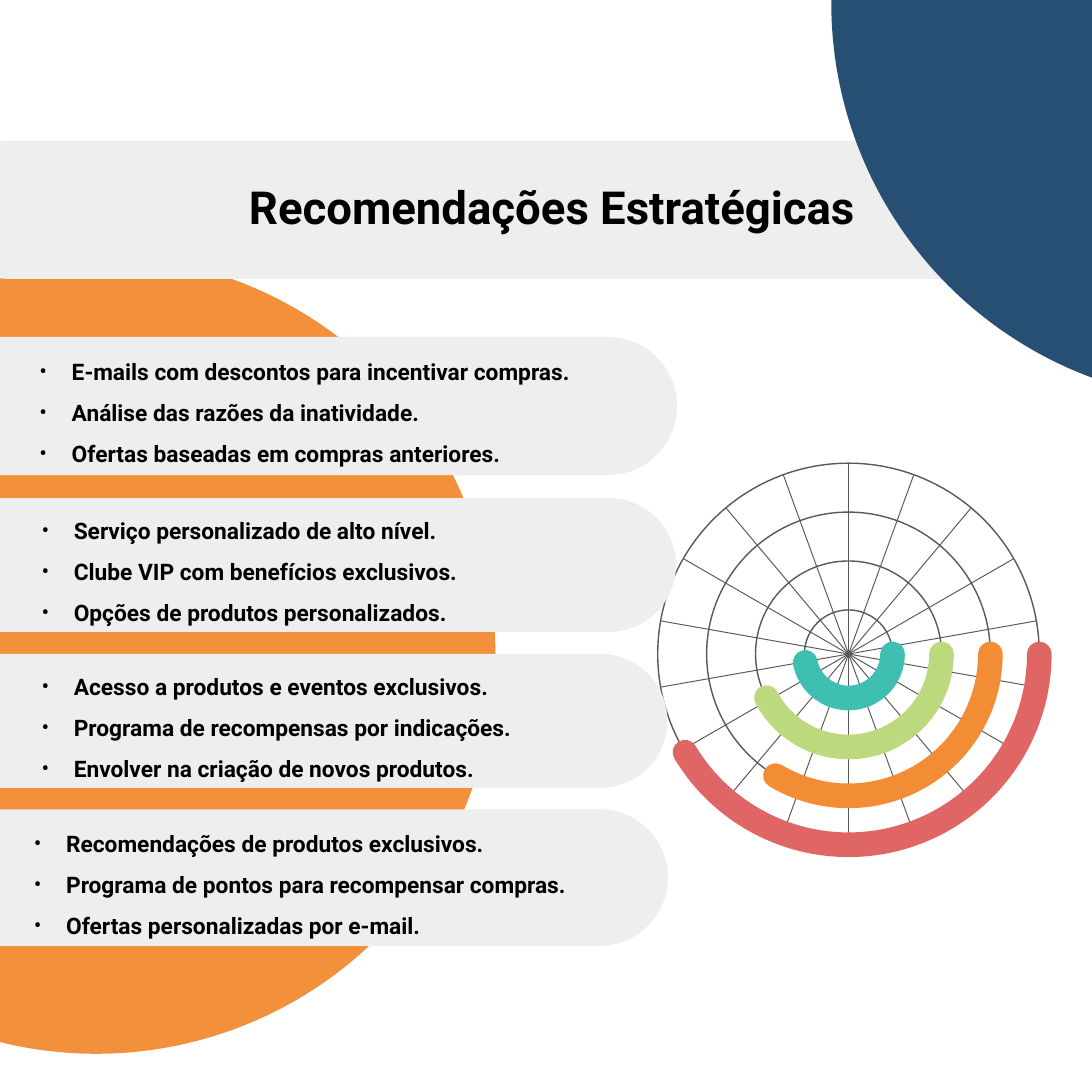
"""Builds a square slide of strategic recommendations with a radial bar drawing."""
from dataclasses import dataclass
from math import cos, radians, sin

from lxml.etree import SubElement
from pptx import Presentation
from pptx.dml.color import RGBColor
from pptx.enum.shapes import MSO_CONNECTOR, MSO_SHAPE
from pptx.enum.text import MSO_ANCHOR, PP_ALIGN
from pptx.oxml.ns import qn
from pptx.util import Cm, Pt


@dataclass(frozen=True)
class Theme:
    font: str = "Roboto"
    title_size: float = 24
    body_size: float = 12
    text: str = "000000"
    panel: str = "EEEEEE"
    grid: str = "595959"
    blue: str = "264F73"
    orange: str = "F3903B"
    teal: str = "3FBFB2"
    green: str = "BCD97E"
    amber: str = "F28D35"
    red: str = "E06666"


THEME = Theme()
SLIDE_SIDE = 20.32
TITLE = "Recomendações Estratégicas"
TITLE_BOX = (2.74, 2.97, 15.06, 1.75)
BANNER_BOX = (-1.12, 2.62, 23.04, 2.57)
ORANGE_DISC = (-5.64, 4.75, 14.86, 14.86)
BLUE_DISC = (15.47, -7.37, 14.86, 14.86)

RECOMMENDATIONS = [
    ((-1.47, 6.27, 14.07, 2.57), [
        "E-mails com descontos para incentivar compras.",
        "Análise das razões da inatividade.",
        "Ofertas baseadas em compras anteriores.",
    ]),
    ((-1.42, 9.27, 14.0, 2.49), [
        "Serviço personalizado de alto nível.",
        "Clube VIP com benefícios exclusivos.",
        "Opções de produtos personalizados.",
    ]),
    ((-1.42, 12.17, 13.84, 2.49), [
        "Acesso a produtos e eventos exclusivos.",
        "Programa de recompensas por indicações.",
        "Envolver na criação de novos produtos.",
    ]),
    ((-1.57, 15.06, 14.0, 2.54), [
        "Recomendações de produtos exclusivos.",
        "Programa de pontos para recompensar compras.",
        "Ofertas personalizadas por e-mail.",
    ]),
]

DIAL_CENTER = (15.79, 12.17)
INNER_RADIUS = 0.82
RADIUS_STEP = 0.91
SPOKES = 18
BAR_WIDTH = 13
BARS = [
    (THEME.teal, -90, 169),
    (THEME.green, -42, 152),
    (THEME.amber, -62, 121),
    (THEME.red, -90, 149),
]


def color(value):
    return RGBColor.from_string(value)


def add_shape(slide, kind, box, fill=None, line=None, width=0.75):
    shape = slide.shapes.add_shape(kind, *map(Cm, box))
    shape.shadow.inherit = False
    if fill:
        shape.fill.solid()
        shape.fill.fore_color.rgb = color(fill)
    else:
        shape.fill.background()
    if line:
        shape.line.color.rgb = color(line)
        shape.line.width = Pt(width)
    else:
        shape.line.fill.background()
    return shape


def add_bullet(paragraph):
    properties = paragraph._p.get_or_add_pPr()
    properties.set("marL", str(Cm(0.6)))
    properties.set("indent", str(-Cm(0.6)))
    bullet_color = SubElement(properties, qn("a:buClr"))
    SubElement(bullet_color, qn("a:srgbClr"), val=THEME.text)
    SubElement(properties, qn("a:buFont"), typeface=THEME.font)
    SubElement(properties, qn("a:buChar"), char="•")


def write_text(shape, lines, size, align=PP_ALIGN.LEFT, spacing=1.0,
               bullets=False, left=0.2, right=0.2):
    frame = shape.text_frame
    frame.word_wrap = True
    frame.vertical_anchor = MSO_ANCHOR.MIDDLE
    frame.margin_left, frame.margin_right = Cm(left), Cm(right)
    frame.margin_top = frame.margin_bottom = Cm(0.2)
    frame.text = "\n".join(lines)
    for paragraph in frame.paragraphs:
        paragraph.alignment = align
        paragraph.line_spacing = spacing
        if bullets:
            add_bullet(paragraph)
        font = paragraph.runs[0].font
        font.name, font.size, font.bold = THEME.font, Pt(size), True
        font.color.rgb = color(THEME.text)


def dial_box(radius):
    x, y = DIAL_CENTER
    return x - radius, y - radius, 2 * radius, 2 * radius


def add_spoke(slide, angle, length):
    x, y = DIAL_CENTER
    end = x + length * cos(angle), y + length * sin(angle)
    spoke = slide.shapes.add_connector(
        MSO_CONNECTOR.STRAIGHT, *map(Cm, (x, y, *end)))
    spoke.line.color.rgb = color(THEME.grid)
    spoke.line.width = Pt(0.5)
    SubElement(spoke._element.spPr, qn("a:effectLst"))


def add_bar(slide, radius, fill, start, end):
    bar = add_shape(slide, MSO_SHAPE.ARC, dial_box(radius), line=fill, width=BAR_WIDTH)
    bar.adjustments[0] = start * 0.6
    bar.adjustments[1] = end * 0.6
    bar.line._get_or_add_ln().set("cap", "rnd")


def add_dial(slide):
    radii = [INNER_RADIUS + RADIUS_STEP * index for index in range(len(BARS))]
    for radius in radii:
        add_shape(slide, MSO_SHAPE.OVAL, dial_box(radius), line=THEME.grid)
    for index in range(SPOKES):
        add_spoke(slide, radians(index * 360 / SPOKES - 90), radii[-1])
    for radius, bar in zip(radii, BARS):
        add_bar(slide, radius, *bar)


def add_pill(slide, box):
    pill = add_shape(slide, MSO_SHAPE.ROUNDED_RECTANGLE, box, fill=THEME.panel)
    pill.adjustments[0] = 0.5
    return pill


def main():
    presentation = Presentation()
    presentation.slide_width = presentation.slide_height = Cm(SLIDE_SIDE)
    slide = presentation.slides.add_slide(presentation.slide_layouts[6])
    add_shape(slide, MSO_SHAPE.OVAL, ORANGE_DISC, fill=THEME.orange)
    add_pill(slide, BANNER_BOX)
    title = slide.shapes.add_textbox(*map(Cm, TITLE_BOX))
    write_text(title, [TITLE], THEME.title_size, align=PP_ALIGN.CENTER)
    add_dial(slide)
    for box, lines in RECOMMENDATIONS:
        write_text(add_pill(slide, box), lines, THEME.body_size,
                   spacing=1.5, bullets=True, left=1.83, right=0.41)
    add_shape(slide, MSO_SHAPE.OVAL, BLUE_DISC, fill=THEME.blue)
    presentation.save("out.pptx")


if __name__ == "__main__":
    main()
